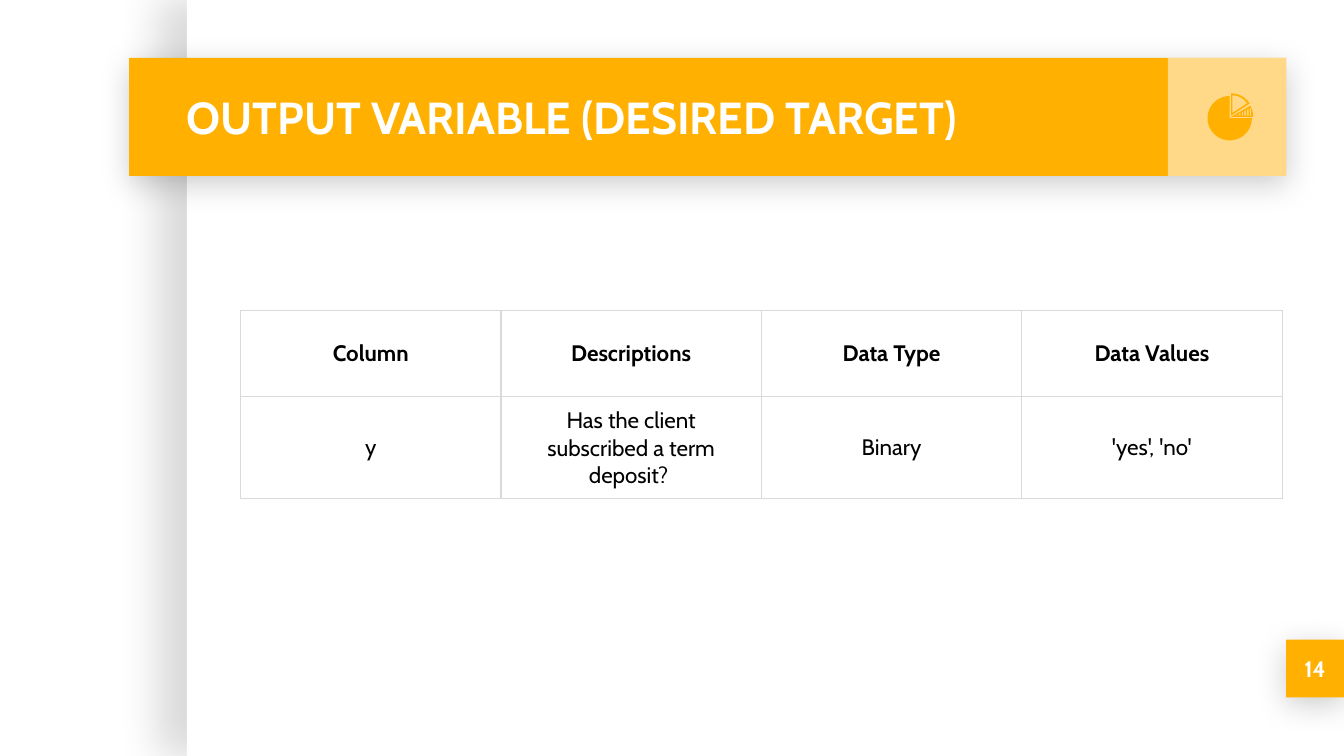
"""Build the output variable slide with a title banner, a table and a pie icon."""
import math

from lxml import etree
from pptx import Presentation
from pptx import util as u
from pptx.dml.color import RGBColor
from pptx.enum import shapes, text
from pptx.oxml import ns

TITLE = "OUTPUT VARIABLE (DESIRED TARGET)"
PAGE_NUMBER = "14"
ROWS = [
    ("Column", "Descriptions", "Data Type", "Data Values"),
    ("y", "Has the client subscribed a term deposit? ", "Binary", "'yes', 'no'"),
]
FONT = "Cabin"
AMBER, WHITE, BLACK, GREY = "FFB000", "FFFFFF", "000000", "D9D9D9"
SIDE_SHADOW = dict(alpha=15, blur=22.5, distance=15, angle=180)
DROP_SHADOW = dict(alpha=20, blur=16.9, distance=3.8, angle=90)
RADIUS = 0.165


def color(value):
    return RGBColor.from_string(value)


def add_child(parent, tag, **attributes):
    child = etree.SubElement(parent, ns.qn(tag))
    for name, value in attributes.items():
        child.set(name, str(value))
    return child


def paint(shape, fill):
    shape.shadow.inherit = False
    shape.fill.solid()
    shape.fill.fore_color.rgb = color(fill)
    shape.line.fill.background()


def add_rectangle(slide, box, fill, shadow=None, opacity=None):
    shape = slide.shapes.add_shape(shapes.MSO_SHAPE.RECTANGLE, *map(u.Inches, box))
    paint(shape, fill)
    properties = shape._element.spPr
    if opacity:
        fill_color = properties.find(ns.qn("a:solidFill"))[0]
        add_child(fill_color, "a:alpha", val=opacity * 1000)
    if shadow:
        outer = add_child(
            properties.find(ns.qn("a:effectLst")), "a:outerShdw",
            blurRad=u.Pt(shadow["blur"]), dist=u.Pt(shadow["distance"]),
            dir=shadow["angle"] * 60000, algn="ctr", rotWithShape=0)
        shadow_color = add_child(outer, "a:srgbClr", val=BLACK)
        add_child(shadow_color, "a:alpha", val=shadow["alpha"] * 1000)
    return shape


def write(frame, content, size, ink, bold, alignment):
    frame.text = content
    paragraph = frame.paragraphs[0]
    paragraph.alignment = alignment
    font = paragraph.runs[0].font
    font.name, font.size, font.bold = FONT, u.Pt(size), bold
    font.color.rgb = color(ink)


def write_in_shape(shape, content, size, alignment):
    frame = shape.text_frame
    frame.word_wrap = True
    frame.vertical_anchor = text.MSO_ANCHOR.MIDDLE
    frame.margin_left = frame.margin_right = u.Inches(0.1)
    frame.margin_top = frame.margin_bottom = u.Inches(0.1)
    write(frame, content, size, WHITE, True, alignment)


def add_table(slide, left, top, width, row_height):
    table = slide.shapes.add_table(
        len(ROWS), len(ROWS[0]), u.Inches(left), u.Inches(top),
        u.Inches(width), u.Inches(row_height * len(ROWS))).table
    table.first_row = table.horz_banding = False
    for row_index, values in enumerate(ROWS):
        for column_index, value in enumerate(values):
            cell = table.cell(row_index, column_index)
            cell.vertical_anchor = text.MSO_ANCHOR.MIDDLE
            cell.margin_left = cell.margin_right = u.Inches(0.1)
            cell.margin_top = cell.margin_bottom = u.Inches(0.08)
            write(cell.text_frame, value, 12, BLACK, row_index == 0, text.PP_ALIGN.CENTER)
            for side in ("a:lnL", "a:lnR", "a:lnT", "a:lnB"):
                border = add_child(cell._tc.get_or_add_tcPr(), side, w=u.Pt(0.75))
                add_child(add_child(border, "a:solidFill"), "a:srgbClr", val=GREY)
            cell.fill.background()


def sector(center, radius, start, end, steps=32):
    x, y = center
    angles = [math.radians(start + (end - start) * i / steps) for i in range(steps + 1)]
    return [center] + [(x + radius * math.cos(a), y + radius * math.sin(a)) for a in angles]


def bar_gap(left, width=0.01, bottom=0.86):
    right = left + width
    tops = [0.85 - (x - 9.21) / 2 for x in (left, right)]
    return [(left, tops[0]), (left, bottom), (right, bottom), (right, tops[1])]


def add_outline(slide, contours):
    builder = None
    for contour in contours:
        first, *rest = [(u.Inches(x), u.Inches(y)) for x, y in contour]
        if builder is None:
            builder = slide.shapes.build_freeform(*first)
        else:
            builder.move_to(*first)
        builder.add_line_segments(rest, close=True)
    paint(builder.convert_to_shape(), AMBER)


def main():
    presentation = Presentation()
    presentation.slide_width = u.Inches(10)
    presentation.slide_height = presentation.slide_width * 9 // 16
    slide = presentation.slides.add_slide(presentation.slide_layouts[6])

    add_rectangle(slide, (1.39, 0, 8.61, 5.63), WHITE, SIDE_SHADOW)
    add_rectangle(slide, (0.96, 0.43, 8.61, 0.88), AMBER, DROP_SHADOW)
    add_rectangle(slide, (8.69, 0.43, 0.88, 0.88), WHITE, opacity=53)
    title = slide.shapes.add_textbox(*map(u.Inches, (1.29, 0.43, 7.37, 0.88)))
    write_in_shape(title, TITLE, 24, text.PP_ALIGN.LEFT)
    add_table(slide, 1.79, 2.31, 7.75, 0.64)
    badge = add_rectangle(slide, (9.57, 4.76, 0.43, 0.43), AMBER, DROP_SHADOW)
    write_in_shape(badge, PAGE_NUMBER, 12, text.PP_ALIGN.CENTER)

    add_outline(slide, [sector((9.15, 0.88), RADIUS, 0, 270)])
    gaps = [bar_gap(9.2 + 0.02 * i) for i in range(6)]
    add_outline(slide, [sector((9.16, 0.87), RADIUS, -30, 0)] + gaps)
    hole = sector((9.17, 0.84), 0.13, -90, -33)
    add_outline(slide, [sector((9.16, 0.86), RADIUS, -90, -33), hole[::-1]])

    presentation.save("out.pptx")


if __name__ == "__main__":
    main()
